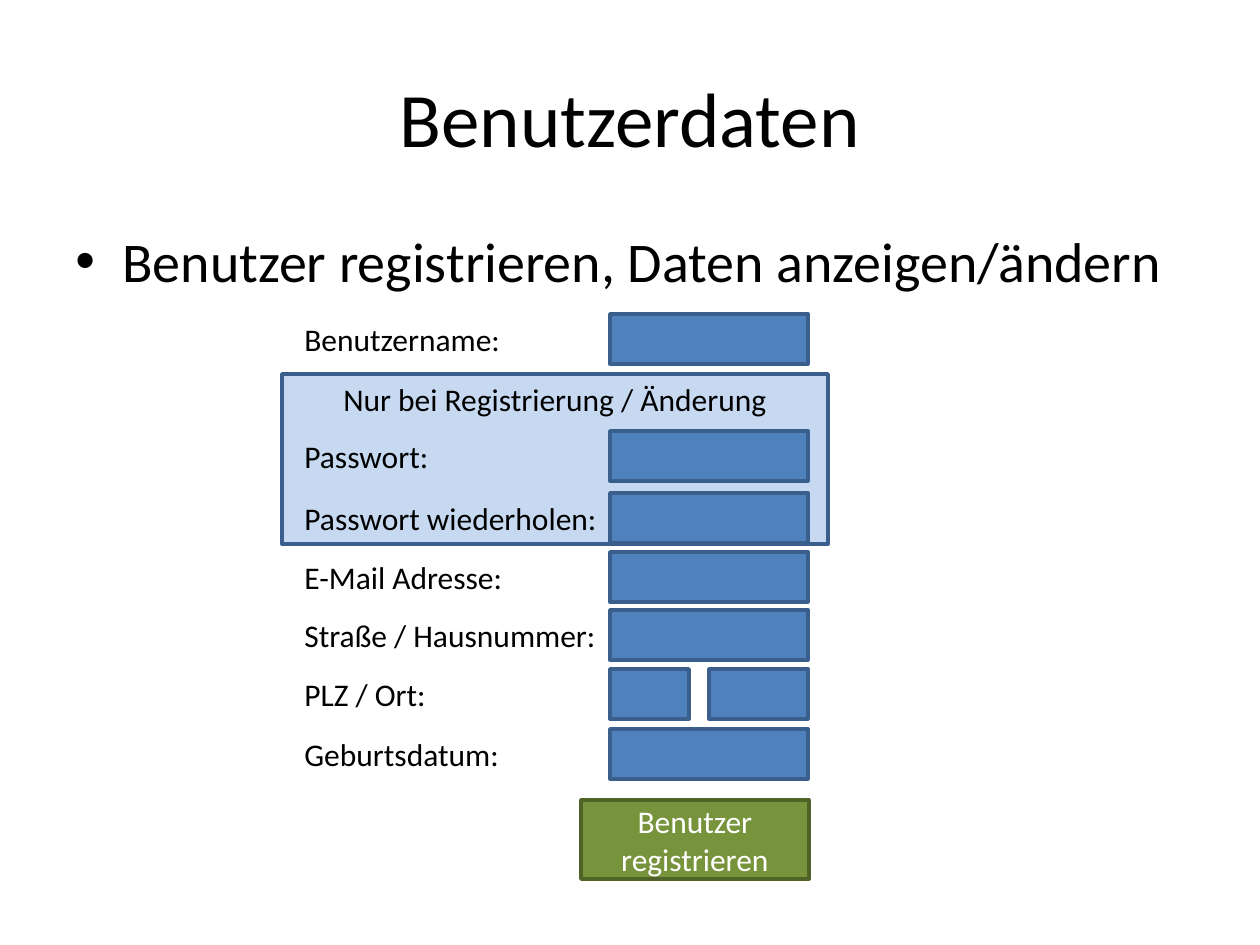
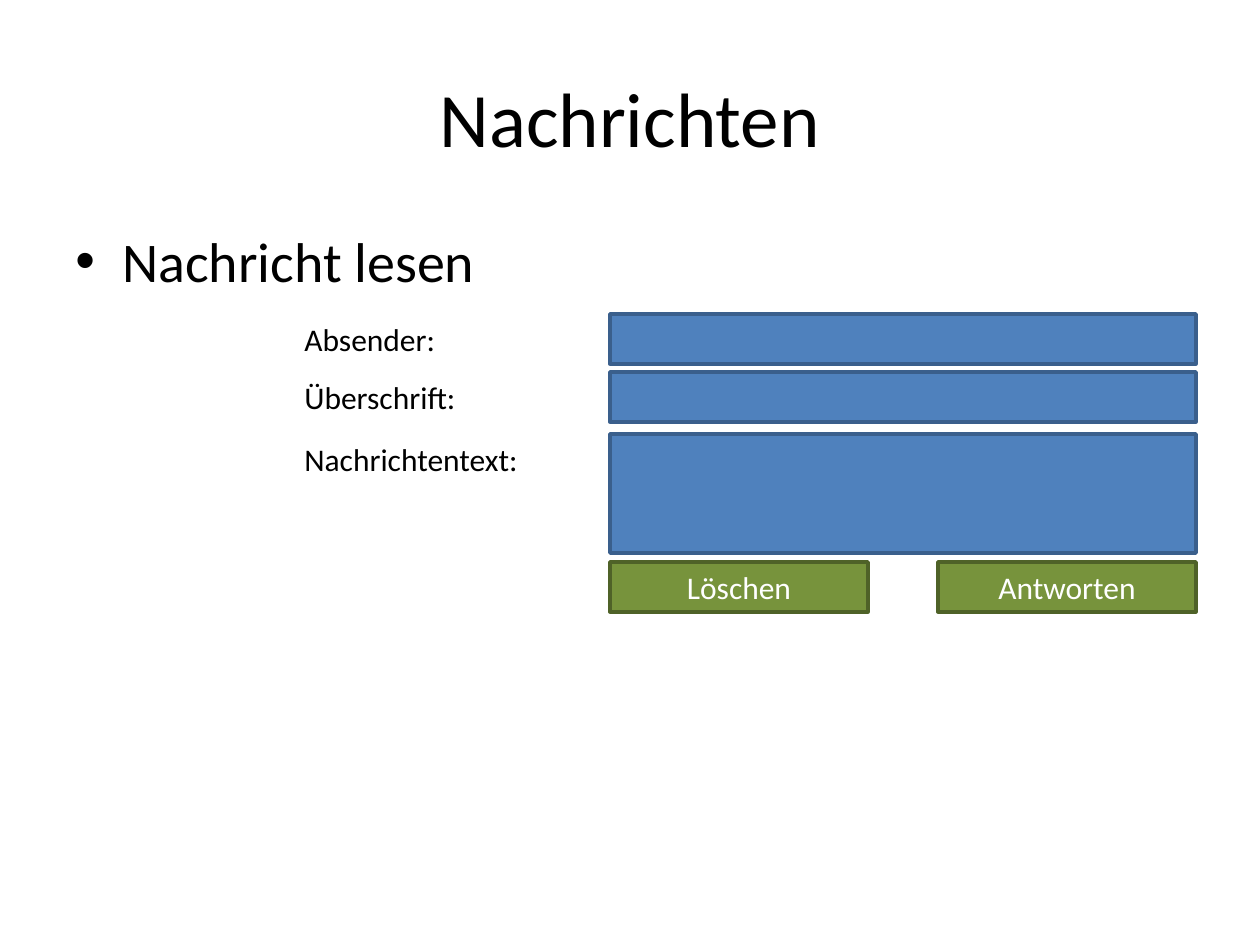
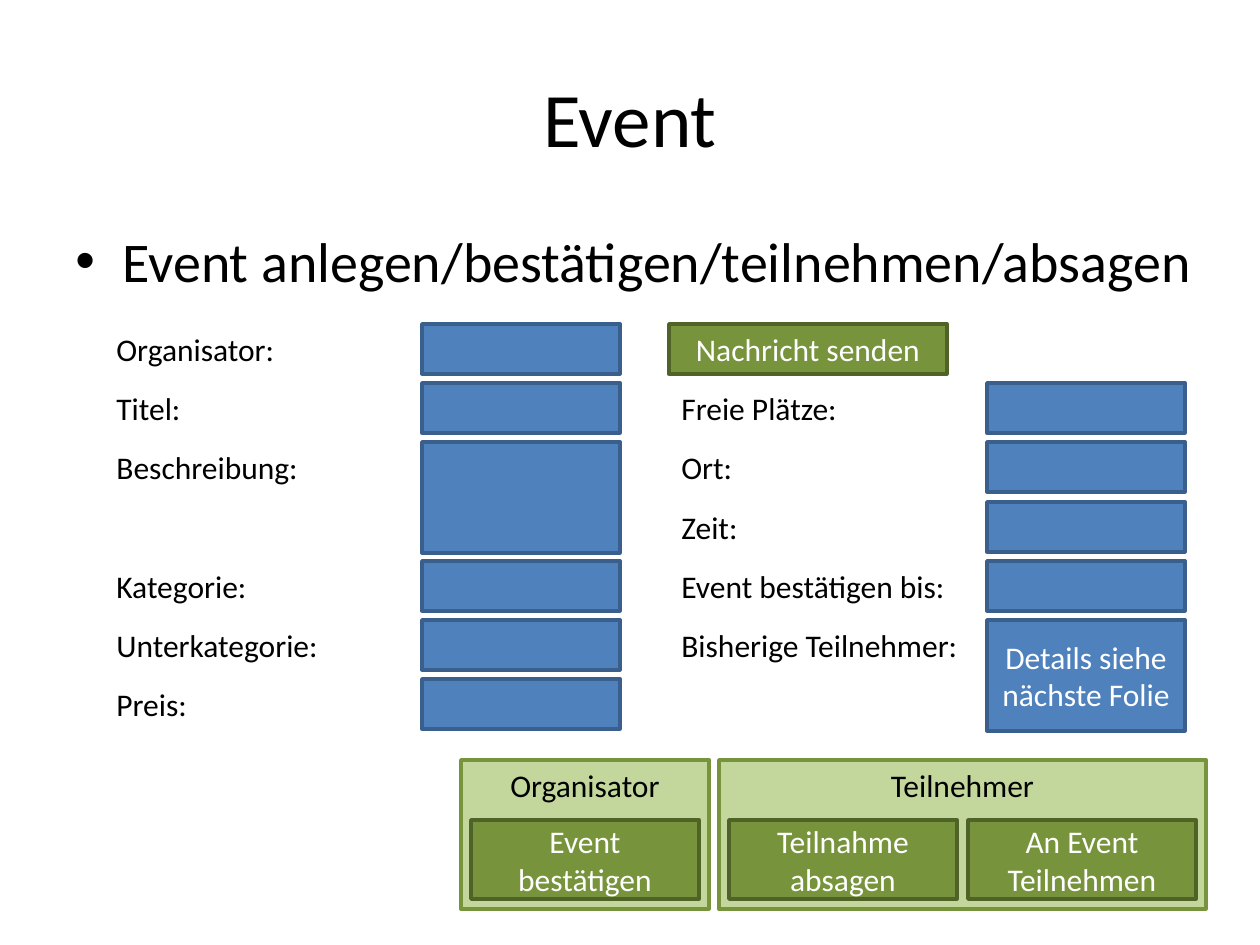
from dataclasses import dataclass

from lxml import etree
from pptx import Presentation
from pptx import util as u
from pptx.dml.color import RGBColor
from pptx.enum import shapes, text
from pptx.oxml import ns


@dataclass(frozen=True)
class Style:
    fill: str
    line: str
    font: str
    anchor: text.MSO_ANCHOR = text.MSO_ANCHOR.MIDDLE


@dataclass(frozen=True)
class Theme:
    face: str = "Calibri"
    ink: str = "000000"
    title_size: int = 44
    bullet_size: int = 32
    form_size: int = 18
    line_width: int = 2
    field: Style = Style("4F81BD", "3A5F8C", "FFFFFF")
    button: Style = Style("77933C", "4F6228", "FFFFFF")
    blue_panel: Style = Style("C6D9F1", "3A5F8C", "000000", text.MSO_ANCHOR.TOP)
    green_panel: Style = Style("C3D69B", "77933C", "000000", text.MSO_ANCHOR.TOP)


theme = Theme()
SCALE = 914400 / 126  # EMU per pixel
ROW = 50              # height of a form row
FIELD = 198           # width of a common field
LABEL_OFFSET = 318    # from label to field
BUTTON_W, BUTTON_H = 228, 79


def place(*lengths):
    return [u.Emu(round(length * SCALE)) for length in lengths]


def add_item(page, at, caption="", style=None):
    """Add a styled rectangle, or a plain label when no style is given."""
    if style:
        box = page.shapes.add_shape(shapes.MSO_SHAPE.RECTANGLE, *place(*at))
        box.shadow.inherit = False
        box.fill.solid()
        box.fill.fore_color.rgb = RGBColor.from_string(style.fill)
        box.line.color.rgb = RGBColor.from_string(style.line)
        box.line.width = u.Pt(theme.line_width)
        box.text_frame.vertical_anchor = style.anchor
        box.text_frame.word_wrap = True
    else:
        box = page.shapes.add_textbox(*place(*at))
        box.text_frame.word_wrap = False
        box.text_frame.auto_size = text.MSO_AUTO_SIZE.SHAPE_TO_FIT_TEXT
    if caption:
        para = box.text_frame.paragraphs[0]
        para.text = caption
        para.alignment = text.PP_ALIGN.CENTER if style else text.PP_ALIGN.LEFT
        para.font.name = theme.face
        para.font.size = u.Pt(theme.form_size)
        para.font.color.rgb = RGBColor.from_string(style.font if style else theme.ink)


deck = Presentation()
deck.slide_width, deck.slide_height = place(1260, 945)

# Titles and bullets
pages = []
for heading, bullet, width in [
    ("Benutzerdaten", "Benutzer registrieren, Daten anzeigen/ändern", 1134),
    ("Nachrichten", "Nachricht lesen", 1134),
    ("Event", "Event anlegen/bestätigen/teilnehmen/absagen", 1162),
]:
    page = deck.slides.add_slide(deck.slide_layouts[5])
    pages.append(page)
    title = page.shapes.title
    title.left, title.top, title.width, title.height = place(63, 38, 1134, 157)
    title.text_frame.vertical_anchor = text.MSO_ANCHOR.MIDDLE
    body = page.shapes.add_textbox(*place(63, 220, width, 624))
    body.text_frame.word_wrap = True
    for box, words, size, align in [
        (title, heading, theme.title_size, text.PP_ALIGN.CENTER),
        (body, bullet, theme.bullet_size, text.PP_ALIGN.LEFT),
    ]:
        para = box.text_frame.paragraphs[0]
        para.text = words
        para.alignment = align
        para.font.name = theme.face
        para.font.size = u.Pt(size)
        para.font.color.rgb = RGBColor.from_string(theme.ink)

    # Hanging bullet with proportional space before
    props = body.text_frame.paragraphs[0]._p.get_or_add_pPr()
    indent = place(47)[0]
    props.set("marL", str(indent))
    props.set("indent", str(-indent))
    space = etree.Element(ns.qn("a:spcBef"))
    etree.SubElement(space, ns.qn("a:spcPct")).set("val", "20000")
    font = etree.Element(ns.qn("a:buFont"))
    font.set("typeface", "Arial")
    mark = etree.Element(ns.qn("a:buChar"))
    mark.set("char", "•")
    for position, element in enumerate([space, font, mark]):
        props.insert(position, element)

user_page, message_page, event_page = pages

# Panel behind the password rows
add_item(user_page, (282, 374, 546, 170), "Nur bei Registrierung / Änderung", theme.blue_panel)

# Form rows: field left, top, label, label width, field width, field height, field text
form_left = 610
user_rows = [
    (314, "Benutzername:", 223, FIELD),
    (431, "Passwort:", 150, FIELD),
    (493, "Passwort wiederholen:", 321, FIELD),
    (552, "E-Mail Adresse:", 226, FIELD),
    (610, "Straße / Hausnummer:", 320, FIELD),
    (669, "PLZ / Ort:", 149, 79),
    (729, "Geburtsdatum:", 222, FIELD),
]
message_width = 586
message_rows = [
    (314, "Absender:", 158, ROW),
    (372, "Überschrift:", 179, ROW),
    (434, "Nachrichtentext:", 241, 119),
]
tall = 111
event_rows = [
    (422, 0, "Organisator:", 185, ROW, ""),
    (422, 1, "Titel:", 91, ROW, ""),
    (422, 2, "Beschreibung:", 209, tall, ""),
    (422, 4, "Kategorie:", 158, ROW, ""),
    (422, 5, "Unterkategorie:", 229, ROW, ""),
    (422, 6, "Preis:", 97, ROW, ""),
    (987, 1, "Freie Plätze:", 183, ROW, ""),
    (987, 2, "Ort:", 77, ROW, ""),
    (987, 3, "Zeit:", 82, ROW, ""),
    (987, 4, "Event bestätigen bis:", 292, ROW, ""),
    (987, 5, "Bisherige Teilnehmer:", 305, tall, "Details siehe nächste Folie"),
]
rows = [(user_page, form_left, top, label, label_w, width, ROW, "")
        for top, label, label_w, width in user_rows]
rows += [(message_page, form_left, top, label, label_w, message_width, height, "")
         for top, label, label_w, height in message_rows]
rows += [(event_page, left, round(324 + 59.2 * row), label, label_w, FIELD, height, content)
         for left, row, label, label_w, height, content in event_rows]
for page, left, top, label, label_w, width, height, content in rows:
    add_item(page, (left, top, width, height), content, theme.field)
    add_item(page, (left - LABEL_OFFSET, top, label_w, ROW), label)

# Second field of the PLZ / Ort row
add_item(user_page, (709, 669, 99, ROW), "", theme.field)

# Panels around the event buttons
for left, width, caption in [(461, 248, "Organisator"), (719, 487, "Teilnehmer")]:
    add_item(event_page, (left, 760, width, 149), caption, theme.green_panel)

# Buttons
for page, left, top, width, height, caption in [
    (user_page, 581, 800, BUTTON_W, BUTTON_H, "Benutzer registrieren"),
    (message_page, 610, 562, 258, ROW, "Löschen"),
    (message_page, 938, 562, 258, ROW, "Antworten"),
    (event_page, 669, 324, 278, ROW, "Nachricht senden"),
    (event_page, 471, 820, BUTTON_W, BUTTON_H, "Event bestätigen"),
    (event_page, 729, 820, BUTTON_W, BUTTON_H, "Teilnahme absagen"),
    (event_page, 968, 820, BUTTON_W, BUTTON_H, "An Event Teilnehmen"),
]:
    add_item(page, (left, top, width, height), caption, theme.button)

deck.save("out.pptx")
